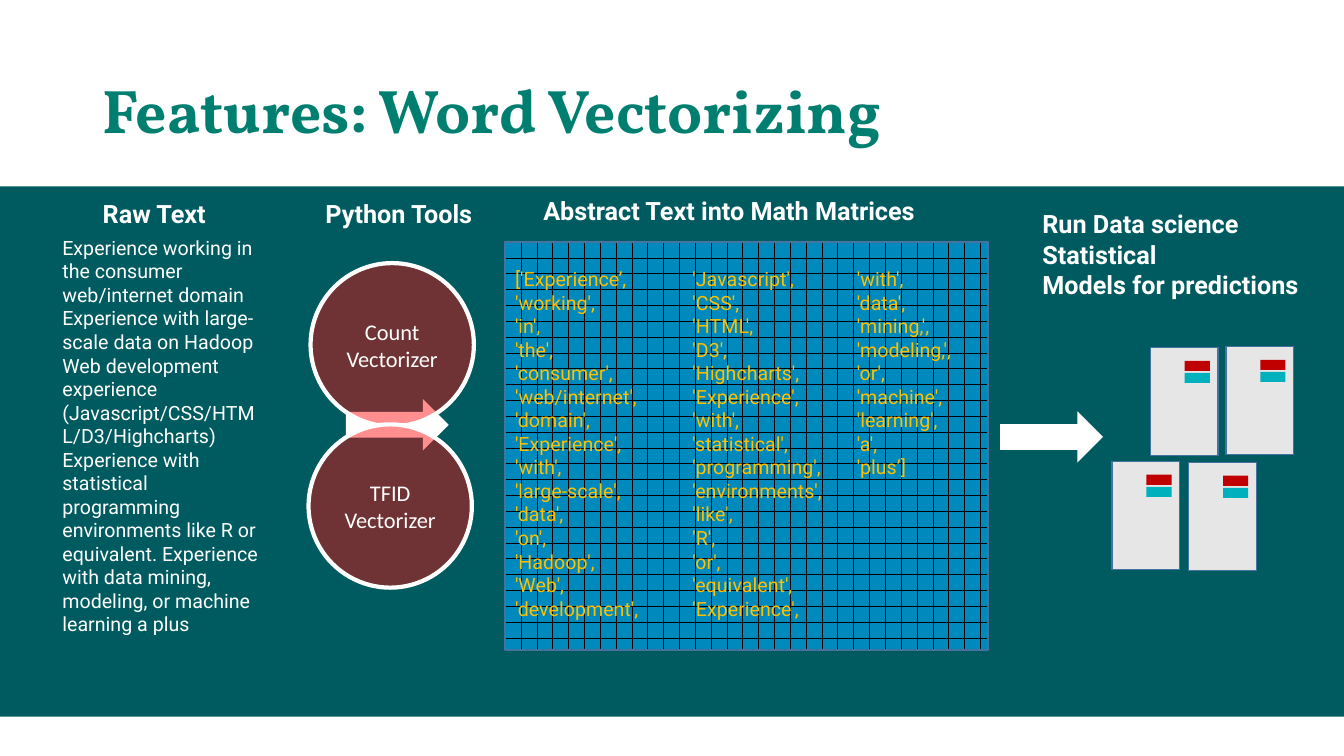
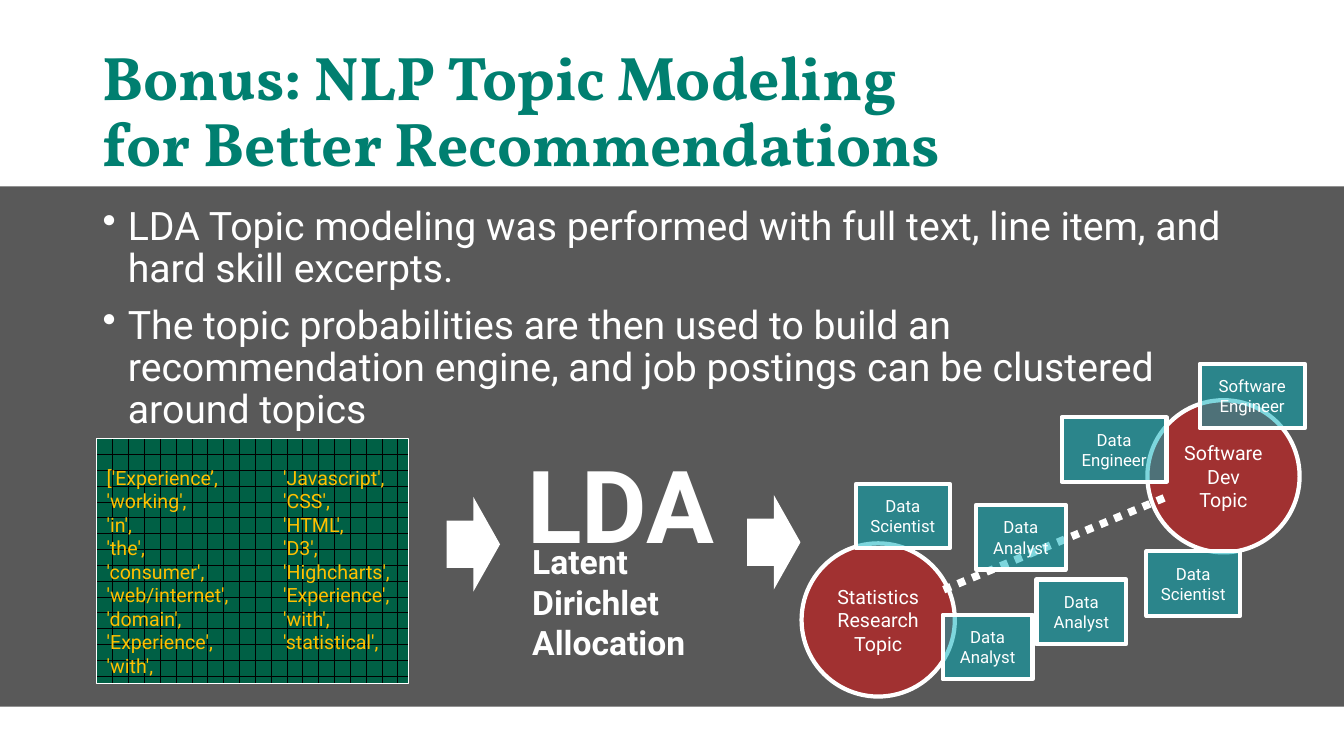
from lxml import etree
from pptx import Presentation
from pptx.dml.color import RGBColor
from pptx.enum.dml import MSO_LINE, MSO_PATTERN
from pptx.enum.shapes import MSO_CONNECTOR, MSO_SHAPE
from pptx.enum.text import MSO_ANCHOR, MSO_AUTO_SIZE, PP_ALIGN
from pptx.oxml.ns import qn
from pptx.util import Pt

PX = 9144
RECT, OVAL, ARROW = MSO_SHAPE.RECTANGLE, MSO_SHAPE.OVAL, MSO_SHAPE.RIGHT_ARROW
STRAIGHT = MSO_CONNECTOR.STRAIGHT
DOT_GRID = MSO_PATTERN.DOTTED_GRID
DOTS = MSO_LINE.ROUND_DOT
TOP, MIDDLE = MSO_ANCHOR.TOP, MSO_ANCHOR.MIDDLE
LEFT, CENTER = PP_ALIGN.LEFT, PP_ALIGN.CENTER
GROW, FIXED = MSO_AUTO_SIZE.SHAPE_TO_FIT_TEXT, MSO_AUTO_SIZE.NONE

WHITE, BLACK, GOLD = "FFFFFF", "000000", "FFC000"
GREEN, TEAL, GRAY = "007F70", "005B60", "595959"
RED, CYAN, EDGE = "FF0000", "00B0BD", "43739E"

TITLE = {"name": "Vollkorn", "size": Pt(44), "bold": True}
HEADING = {"name": "Roboto", "size": Pt(18), "bold": True}
ACRONYM = {"name": "Roboto", "size": Pt(72), "bold": True}
EXPANSION = {"name": "Roboto", "size": Pt(24), "bold": True}
BULLET = {"name": "Roboto", "size": Pt(28)}
BODY = {"name": "Roboto", "size": Pt(14)}
LABEL = {"name": "Roboto", "size": Pt(12)}
TOOL = {"name": "Calibri", "size": Pt(16)}

TOKENS = [
    ["['Experience’,", "'working',", "'in',", "'the',", "'consumer',",
     "'web/internet',", "'domain',", "'Experience',", "'with',",
     "'large-scale',", "'data',", "'on',", "'Hadoop',", "'Web',",
     "'development',"],
    ["'Javascript',", "'CSS',", "'HTML',", "'D3',", "'Highcharts',",
     "'Experience',", "'with',", "'statistical',", "'programming',",
     "'environments',", "'like',", "'R',", "'or',", "'equivalent',",
     "'Experience',"],
    ["'with',", "'data',", "'mining,',", "'modeling,',", "'or',",
     "'machine',", "'learning',", "'a',", "'plus’]"],
]


def rgb(color):
    return RGBColor.from_string(color)


def emu(*lengths):
    return [n * PX for n in lengths]


class Deck:
    def __init__(self):
        self.prs = Presentation()
        self.prs.slide_width, self.prs.slide_height = emu(1333, 750)
        self.s = self.shapes = None

    def slide(self, title, band, height):
        self.s = self.prs.slides.add_slide(self.prs.slide_layouts[6])
        self.ungroup()
        self.shape(RECT, (0, 185, 1333, height), band)
        self.text((92, 40, 1150, 145), [title], TITLE, GREEN,
                  anchor=MIDDLE, fit=FIXED, spacing=0.9)

    def group(self):
        self.shapes = self.s.shapes.add_group_shape().shapes

    def ungroup(self):
        self.shapes = self.s.shapes

    def paragraphs(self, tf, lines, font, color, align, spacing=1.0):
        for i, line in enumerate(lines):
            p = tf.paragraphs[0] if i == 0 else tf.add_paragraph()
            p.text = line
            p.alignment = align
            p.line_spacing = spacing
            for r in p.runs:
                for key, value in font.items():
                    setattr(r.font, key, value)
                r.font.color.rgb = rgb(color)

    def text(self, box, lines, font, color=WHITE, anchor=TOP, fit=GROW,
             wrap=True, spacing=1.0):
        sp = self.shapes.add_textbox(*emu(*box))
        tf = sp.text_frame
        frame = {"word_wrap": wrap, "auto_size": fit, "vertical_anchor": anchor}
        for key, value in frame.items():
            setattr(tf, key, value)
        self.paragraphs(tf, lines, font, color, LEFT, spacing)
        return tf

    def bullets(self, box, lines):
        tf = self.text(box, lines, BULLET, fit=FIXED, spacing=0.9)
        for i, p in enumerate(tf.paragraphs):
            pPr = p._p.get_or_add_pPr()
            pPr.set("marL", str(25 * PX))
            pPr.set("indent", str(-25 * PX))
            etree.SubElement(pPr, qn("a:buChar")).set("char", "•")
            if i:
                p.space_before = Pt(10)

    def shape(self, kind, box, fill, line=None, width=1, alpha=None,
              lines=(), font=BODY):
        sp = self.shapes.add_shape(kind, *emu(*box))
        sp.shadow.inherit = False
        sp.fill.solid()
        sp.fill.fore_color.rgb = rgb(fill)
        if alpha:
            clr = sp._element.spPr.find(qn("a:solidFill"))[0]
            etree.SubElement(clr, qn("a:alpha")).set("val", str(alpha * 1000))
        if line:
            sp.line.color.rgb = rgb(line)
            sp.line.width = Pt(width)
        else:
            sp.line.fill.background()
        if lines:
            self.paragraphs(sp.text_frame, lines, font, WHITE, CENTER)
        return sp

    def matrix(self, box, back, line):
        sp = self.shape(RECT, box, back, line)
        sp.fill.patterned()
        sp.fill.pattern = DOT_GRID
        sp.fill.fore_color.rgb = rgb(BLACK)
        sp.fill.back_color.rgb = rgb(back)

    def tokens(self, box, words):
        self.text(box, words, BODY, GOLD)

    def circle(self, left, top, size, lines, font=BODY):
        self.shape(OVAL, (left, top, size, size), RED, WHITE, 3, 44, lines, font)

    def job(self, left, top, width, *lines):
        self.shape(RECT, (left, top, width, 64), CYAN, WHITE, 3, 51, lines, LABEL)

    def arrow(self, *box):
        self.shape(ARROW, box, WHITE)

    def model(self, left, top):
        self.group()
        self.shape(RECT, (left, top, 67, 107), "E7E6E6", EDGE)
        for dy, color in ((13, "C00000"), (25, CYAN)):
            self.shape(RECT, (left + 34, top + dy, 25, 10), color)
        self.ungroup()

    def dotted(self, *ends):
        cx = self.shapes.add_connector(STRAIGHT, *emu(*ends))
        cx.line.color.rgb = rgb(WHITE)
        cx.line.width = Pt(5.5)
        cx.line.dash_style = DOTS
        etree.SubElement(cx._element.spPr, qn("a:effectLst"))


def vectorizing(d):
    d.slide("Features: Word Vectorizing", TEAL, 526)
    d.text((52, 229, 221, 434), [
        "Experience working in the consumer web/internet domain Experience "
        "with large-scale data on Hadoop Web development experience "
        "(Javascript/CSS/HTML/D3/Highcharts)",
        "Experience with statistical programming environments like R or "
        "equivalent. Experience with data mining, modeling, or machine "
        "learning a plus"], BODY)
    d.matrix((501, 240, 479, 405), "0089BD", EDGE)
    columns = ((501, 460, 364), (677, 187, 364), (840, 171, 222))
    for (left, width, height), words in zip(columns, TOKENS):
        d.tokens((left, 260, width, height), words)
    d.arrow(343, 396, 102, 51)
    d.circle(308, 261, 162, ["Count Vectorizer"], TOOL)
    d.circle(306, 421, 162, ["TFID Vectorizer"], TOOL)
    d.arrow(992, 408, 102, 51)
    for left, top in ((1103, 458), (1141, 345), (1179, 459), (1216, 344)):
        d.model(left, top)
    d.text((92, 192, 125, 40), ["Raw Text"], HEADING, wrap=False)
    d.text((313, 192, 170, 40), ["Python Tools"], HEADING, wrap=False)
    d.text((529, 189, 402, 40), ["Abstract Text into Math Matrices"], HEADING)
    d.text((1024, 202, 281, 101),
           ["Run Data science Statistical", "Models for predictions"], HEADING)


def topic_modeling(d):
    d.slide("Bonus: NLP Topic Modeling\vfor Better Recommendations", GRAY, 516)
    d.bullets((92, 200, 1150, 476), [
        "LDA Topic modeling was performed with full text, line item, and hard "
        "skill excerpts.",
        "The topic probabilities are then used to build an recommendation "
        "engine, and job postings can be clustered around topics"])
    d.group()
    d.matrix((96, 435, 309, 243), "006045", WHITE)
    d.tokens((96, 457, 460, 222), TOKENS[0][:9])
    d.tokens((271, 457, 187, 199), TOKENS[1][:8])
    d.ungroup()
    d.circle(1138, 397, 151, ["Software Dev", "Topic"])
    d.circle(795, 539, 152, ["Statistics Research", "Topic"])
    d.text((513, 434, 234, 131), ["LDA"], ACRONYM, wrap=False)
    d.text((518, 532, 174, 131), ["Latent", "Dirichlet", "Allocation"],
           EXPANSION, wrap=False)
    d.arrow(443, 493, 53, 94)
    d.arrow(741, 491, 53, 94)
    d.job(1028, 575, 89, "Data", "Analyst")
    d.job(849, 480, 93, "Data", "Scientist")
    d.job(1053, 414, 104, "Data", "Engineer")
    d.dotted(936, 585, 1157, 493)
    d.job(1190, 361, 104, "Software Engineer")
    d.job(935, 610, 89, "Data", "Analyst")
    d.job(968, 501, 89, "Data", "Analyst")
    d.job(1137, 547, 93, "Data", "Scientist")


def main():
    d = Deck()
    vectorizing(d)
    topic_modeling(d)
    d.prs.save("out.pptx")


if __name__ == "__main__":
    main()
